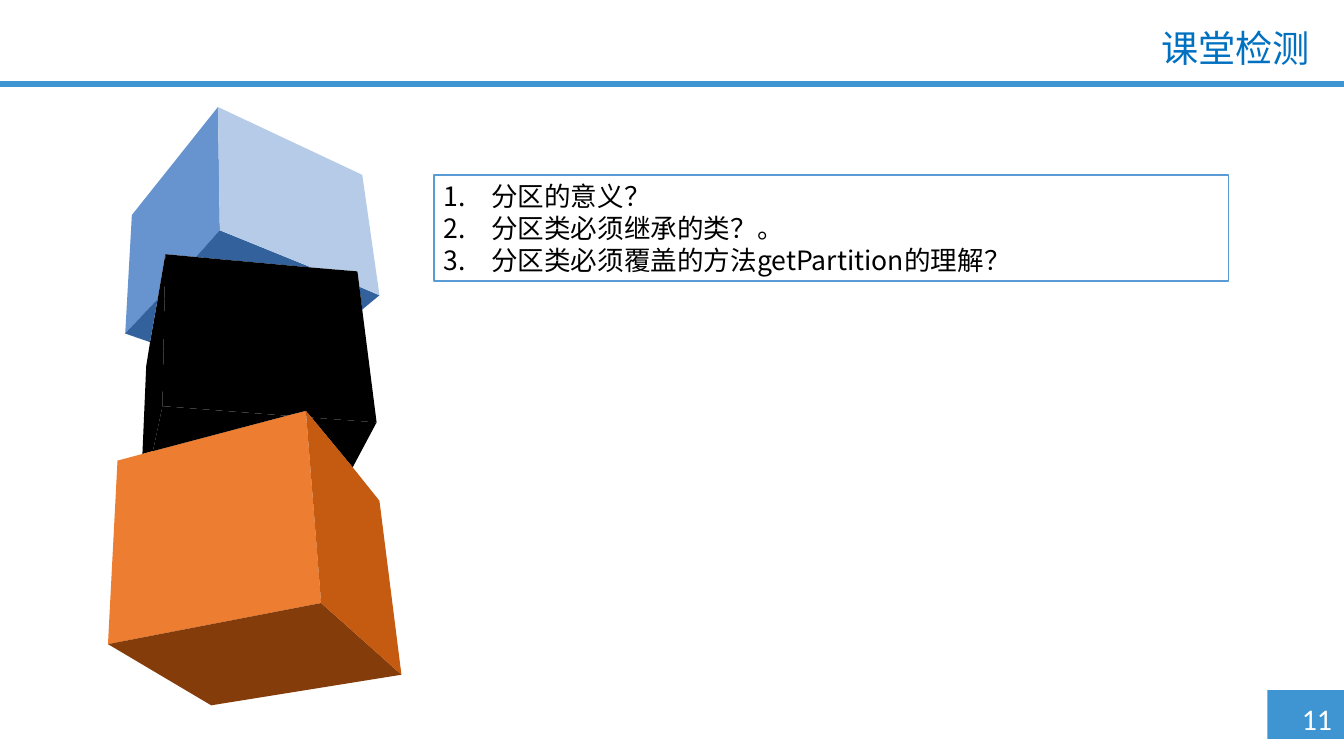
from lxml import etree
from pptx import Presentation
from pptx.dml.color import RGBColor
from pptx.enum.shapes import MSO_SHAPE
from pptx.enum.text import MSO_ANCHOR, MSO_AUTO_SIZE, PP_ALIGN
from pptx.oxml.ns import qn
from pptx.util import Inches, Pt

RECTANGLE = MSO_SHAPE.RECTANGLE
MIDDLE = MSO_ANCHOR.MIDDLE
NO_AUTOFIT = MSO_AUTO_SIZE.NONE
LEFT, RIGHT = PP_ALIGN.LEFT, PP_ALIGN.RIGHT

WHITE = RGBColor(0xFF, 0xFF, 0xFF)
BLACK = RGBColor(0x00, 0x00, 0x00)
BAND_BLUE = RGBColor(0x3F, 0x95, 0xD2)
TITLE_BLUE = RGBColor(0x00, 0x70, 0xC0)
BORDER_BLUE = RGBColor(0x5B, 0x9B, 0xD5)
CUBE_BLUE = RGBColor(0x67, 0x94, 0xCE)
CUBE_BLUE_DARK = RGBColor(0x32, 0x61, 0x9C)
CUBE_BLUE_LIGHT = RGBColor(0xB5, 0xCB, 0xE7)
CUBE_ORANGE = RGBColor(0xED, 0x7D, 0x31)
CUBE_ORANGE_DARK = RGBColor(0xC5, 0x5A, 0x11)
CUBE_BROWN = RGBColor(0x84, 0x3C, 0x0B)

CHINESE_FONT = "Noto Sans CJK SC"
NUMBER_FONT = "Calibri"

QUESTIONS = [
    "分区的意义？",
    "分区类必须继承的类？。",
    "分区类必须覆盖的方法getPartition的理解？",
]

CUBE_FACES = [
    (CUBE_BLUE, [[(0.18, 2.37), (0.25, 1.13), (1.15, 0), (1.17, 1.29),
                  (0.92, 1.57), (0.6, 1.54), (0.52, 2.01)]]),
    (BLACK, [[(0.36, 3.63), (0.4, 2.71), (0.44, 2.46), (0.52, 2.01),
              (0.6, 1.54), (0.57, 3.13), (0.47, 3.6)]]),
    (CUBE_ORANGE, [[(0, 5.62), (0.1, 3.7), (0.36, 3.63), (0.47, 3.6),
                    (1.87, 3.23), (2.07, 3.18), (2.23, 5.19)]]),
    (CUBE_BLUE_DARK, [[(2.63, 1.88), (2.66, 2.12), (2.84, 1.97)],
                      [(0.44, 2.46), (0.52, 2.01), (0.18, 2.37)],
                      [(0.92, 1.57), (2.13, 1.68), (1.17, 1.29)]]),
    (BLACK, [[(2.13, 3.25), (2.56, 3.77), (2.81, 3.3)],
             [(0.47, 3.6), (1.87, 3.23), (0.57, 3.13)]]),
    (CUBE_BROWN, [[(0, 5.62), (2.23, 5.19), (3.07, 5.94), (1.08, 6.26)]]),
    (CUBE_BLUE_LIGHT, [[(1.17, 1.29), (1.15, 0), (2.66, 0.71), (2.84, 1.97),
                        (2.63, 1.88), (2.61, 1.72), (2.13, 1.68)]]),
    (BLACK, [[(0.57, 3.13), (0.6, 1.54), (0.92, 1.57), (2.13, 1.68),
              (2.61, 1.72), (2.63, 1.88), (2.66, 2.12), (2.81, 3.3),
              (2.13, 3.25), (2.07, 3.18), (1.87, 3.23)]]),
    (CUBE_ORANGE_DARK, [[(2.23, 5.19), (2.07, 3.18), (2.13, 3.25),
                         (2.56, 3.77), (2.84, 4.12), (3.07, 5.94)]]),
]


def write_text(paragraph, text, size, color, font=CHINESE_FONT,
               alignment=LEFT, line_spacing=None):
    """Fill a paragraph with one formatted run."""
    run = paragraph.add_run()
    run.text = text
    run.font.size = Pt(size)
    run.font.color.rgb = color
    run.font.name = font
    east_asian = etree.SubElement(run.font._element, qn("a:ea"))
    east_asian.set("typeface", font)
    paragraph.alignment = alignment
    paragraph.line_spacing = line_spacing


def number_paragraph(paragraph, indent):
    """Give a paragraph an automatic number and a hanging indent."""
    properties = paragraph._p.get_or_add_pPr()
    properties.set("marL", str(indent))
    properties.set("indent", str(-indent))
    numbering = etree.SubElement(properties, qn("a:buAutoNum"))
    numbering.set("type", "arabicPeriod")


def paint(shape, fill, line=None):
    """Give a shape a solid fill, an optional border and no shadow."""
    shape.shadow.inherit = False
    shape.fill.solid()
    shape.fill.fore_color.rgb = fill
    if line is None:
        shape.line.fill.background()
    else:
        shape.line.color.rgb = line
        shape.line.width = Pt(1)


def add_header(slide, left, top, width):
    """Place the title above the blue rule that spans the slide."""
    title = slide.shapes.title
    title.left, title.top = left + Inches(6.4), top + Inches(0.33)
    title.width, title.height = Inches(7.4), Inches(0.4)
    frame = title.text_frame
    frame.auto_size = NO_AUTOFIT
    frame.vertical_anchor = MIDDLE
    write_text(frame.paragraphs[0], "课堂检测", 28, TITLE_BLUE,
               alignment=RIGHT, line_spacing=0.9)
    rule = slide.shapes.add_shape(RECTANGLE, left, top + Inches(0.85),
                                  width, Inches(0.06))
    paint(rule, BAND_BLUE)


def add_page_number(slide, left, top, width, height):
    """Place the page number on its blue tab."""
    tab = slide.shapes.add_shape(RECTANGLE, left, top, width, height)
    paint(tab, BAND_BLUE)
    label = slide.shapes.add_textbox(left + Inches(0.26), top + Inches(0.06),
                                     Inches(0.65), Inches(0.48))
    label.text_frame.word_wrap = False
    write_text(label.text_frame.paragraphs[0], "11", 22.5, WHITE,
               font=NUMBER_FONT)


def add_questions(slide, left, top, width, height):
    """Place the numbered questions in a bordered box."""
    box = slide.shapes.add_shape(RECTANGLE, left, top, width, height)
    paint(box, WHITE, line=BORDER_BLUE)
    frame = box.text_frame
    frame.word_wrap = True
    frame.vertical_anchor = MIDDLE
    for index, question in enumerate(QUESTIONS):
        paragraph = frame.add_paragraph() if index else frame.paragraphs[0]
        write_text(paragraph, question, 20, BLACK, line_spacing=Pt(24))
        number_paragraph(paragraph, Inches(0.5))


def add_cube_stack(slide, left, top):
    """Place the faces of the three stacked cubes as one group."""
    group = slide.shapes.add_group_shape()
    for color, outlines in CUBE_FACES:
        builder = None
        for outline in outlines:
            start, *corners = [(left + Inches(x), top + Inches(y))
                               for x, y in outline]
            if builder is None:
                builder = group.shapes.build_freeform(*start)
            else:
                builder.move_to(*start)
            builder.add_line_segments(corners, close=True)
        paint(builder.convert_to_shape(), color)


def main():
    """Build the quiz slide and save it."""
    presentation = Presentation()
    presentation.slide_width = Inches(14.06)
    presentation.slide_height = Inches(7.91)
    slide = presentation.slides.add_slide(presentation.slide_layouts[5])
    add_page_number(slide, Inches(13.26), Inches(7.22), Inches(0.8), Inches(0.51))
    add_header(slide, 0, 0, presentation.slide_width)
    add_questions(slide, Inches(4.54), Inches(1.83), Inches(8.31), Inches(1.11))
    add_cube_stack(slide, Inches(1.13), Inches(1.12))
    presentation.save("out.pptx")


if __name__ == "__main__":
    main()
